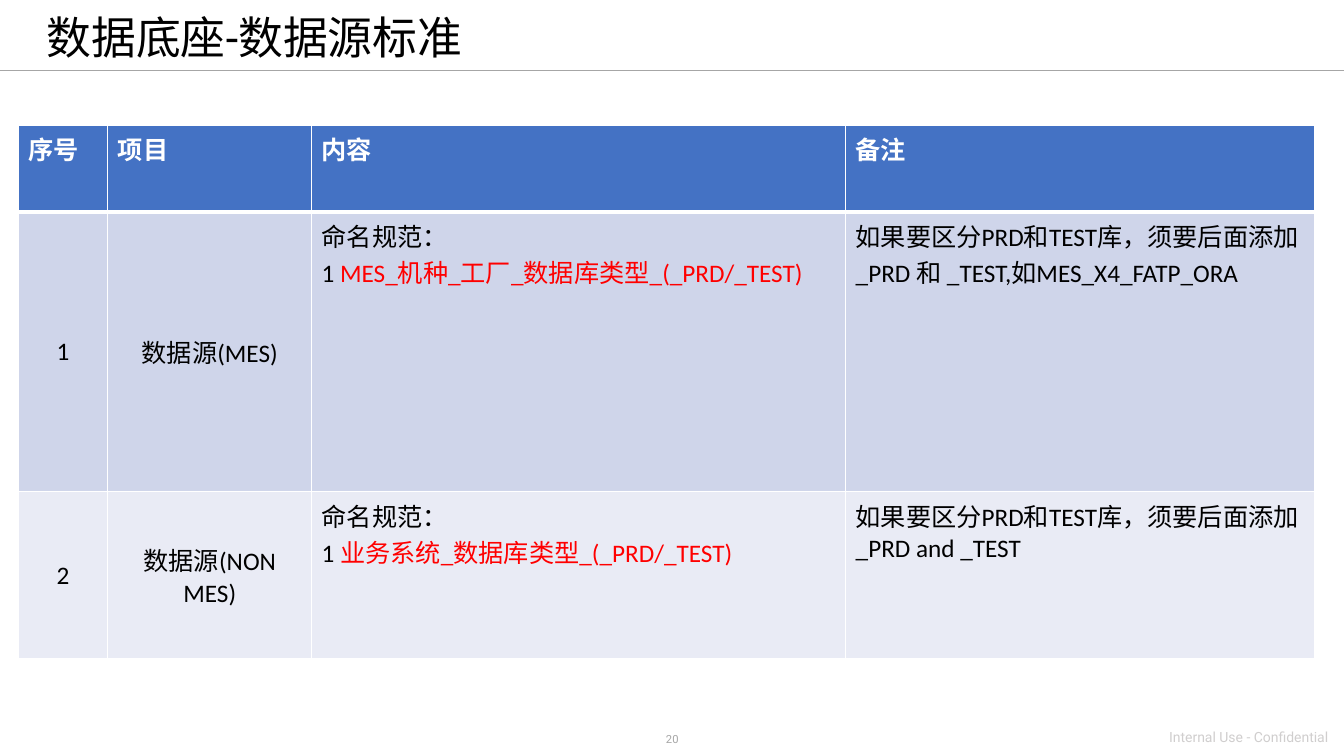
import dataclasses

import lxml.etree
import pptx
import pptx.dml.color
import pptx.enum.shapes
import pptx.enum.text
import pptx.oxml.ns
import pptx.util

Pt = pptx.util.Pt
ALIGN = pptx.enum.text.PP_ALIGN
ANCHOR = pptx.enum.text.MSO_ANCHOR
qn = pptx.oxml.ns.qn


@dataclasses.dataclass(frozen=True)
class Theme:
    black: str = "000000"
    white: str = "FFFFFF"
    red: str = "FF0000"
    rule: str = "A6A6A6"
    confidential: str = "D0CECE"
    header_fill: str = "4472C4"
    row_fills: tuple = ("CFD5EA", "E9EBF5")
    title_font: str = "Roboto"
    table_font: str = "Calibri"
    title_size: float = 32
    table_size: float = 18
    number_size: float = 8
    confidential_size: float = 10


theme = Theme()


def rgb(value):
    return pptx.dml.color.RGBColor.from_string(value)


def write(frame, text, *, size, font, color, bold=False, align=ALIGN.LEFT,
          spacing=None, accent=theme.red):
    """Fill the frame, one paragraph per line; what follows a "|" takes the accent colour."""
    for index, line in enumerate(text.split("\n")):
        paragraph = frame.paragraphs[0] if index == 0 else frame.add_paragraph()
        paragraph.alignment = align
        paragraph.line_spacing = spacing
        for part, run_color in zip(line.split("|"), (color, accent)):
            run = paragraph.add_run()
            run.text = part
            run.font.size = Pt(size)
            run.font.name = font
            run.font.bold = bold
            run.font.color.rgb = rgb(run_color)


presentation = pptx.Presentation()
presentation.slide_width = Pt(960)
presentation.slide_height = Pt(540)
slide = presentation.slides.add_slide(presentation.slide_layouts[5])

# Title and the rule below it
title = slide.shapes.title
title.left, title.top, title.width, title.height = Pt(26), Pt(4.3), Pt(758), Pt(49)
title.text_frame.auto_size = pptx.enum.text.MSO_AUTO_SIZE.NONE
title.text_frame.vertical_anchor = ANCHOR.MIDDLE
write(title.text_frame, "数据底座-数据源标准", size=theme.title_size,
      font=theme.title_font, color=theme.black, spacing=0.9)

title_rule = slide.shapes.add_connector(
    pptx.enum.shapes.MSO_CONNECTOR.STRAIGHT, 0, Pt(50.4), Pt(960), Pt(50.4))
title_rule.line.color.rgb = rgb(theme.rule)
title_rule.line.width = Pt(1)
lxml.etree.SubElement(title_rule._element.spPr, qn("a:effectLst"))

# Table of data source standards
header = ("序号", "项目", "内容", "备注")
standards = (
    ("1", "数据源(MES)",
     "命名规范：\n1 |MES_机种_工厂_数据库类型_(_PRD/_TEST)",
     "如果要区分PRD和TEST库，须要后面添加_PRD 和 _TEST,如MES_X4_FATP_ORA"),
    ("2", "数据源(NON MES)",
     "命名规范：\n1 |业务系统_数据库类型_(_PRD/_TEST)",
     "如果要区分PRD和TEST库，须要后面添加_PRD and _TEST"),
)
column_widths = (64.2, 145.5, 381.5, 335.3)
row_heights = (61.7, 200, 119.4)

table = slide.shapes.add_table(
    len(row_heights), len(column_widths), Pt(12.9), Pt(89.6),
    Pt(sum(column_widths)), Pt(sum(row_heights))).table
for column, width in zip(table.columns, column_widths):
    column.width = Pt(width)
for row, height in zip(table.rows, row_heights):
    row.height = Pt(height)

for row_index, texts in enumerate((header, *standards)):
    is_header = row_index == 0
    fill = theme.header_fill if is_header else theme.row_fills[row_index - 1]
    for column_index, text in enumerate(texts):
        cell = table.cell(row_index, column_index)
        cell.fill.solid()
        cell.fill.fore_color.rgb = rgb(fill)
        centred = not is_header and column_index < 2
        cell.vertical_anchor = ANCHOR.MIDDLE if centred else ANCHOR.TOP
        write(cell.text_frame, text, size=theme.table_size, font=theme.table_font,
              color=theme.white if is_header else theme.black, bold=is_header,
              align=ALIGN.CENTER if centred else ALIGN.LEFT)
        for position, side in enumerate(("lnL", "lnR", "lnT", "lnB")):
            thick = (is_header and side == "lnB") or (row_index == 1 and side == "lnT")
            border = lxml.etree.Element(qn(f"a:{side}"), w=str(Pt(3 if thick else 1)))
            border_fill = lxml.etree.SubElement(border, qn("a:solidFill"))
            lxml.etree.SubElement(border_fill, qn("a:srgbClr"), val=theme.white)
            cell._tc.get_or_add_tcPr().insert(position, border)

# Footer
footers = (
    ("20", 416.9, 519.8, 126.7, 17.3, theme.number_size, theme.rule, ALIGN.CENTER),
    ("Internal Use - Confidential", 828, 517, 132, 19.4,
     theme.confidential_size, theme.confidential, ALIGN.LEFT),
)
for text, left, top, width, height, size, color, align in footers:
    footer = slide.shapes.add_textbox(Pt(left), Pt(top), Pt(width), Pt(height))
    footer.text_frame.word_wrap = True
    write(footer.text_frame, text, size=size, font=theme.title_font,
          color=color, align=align)

presentation.save("out.pptx")
